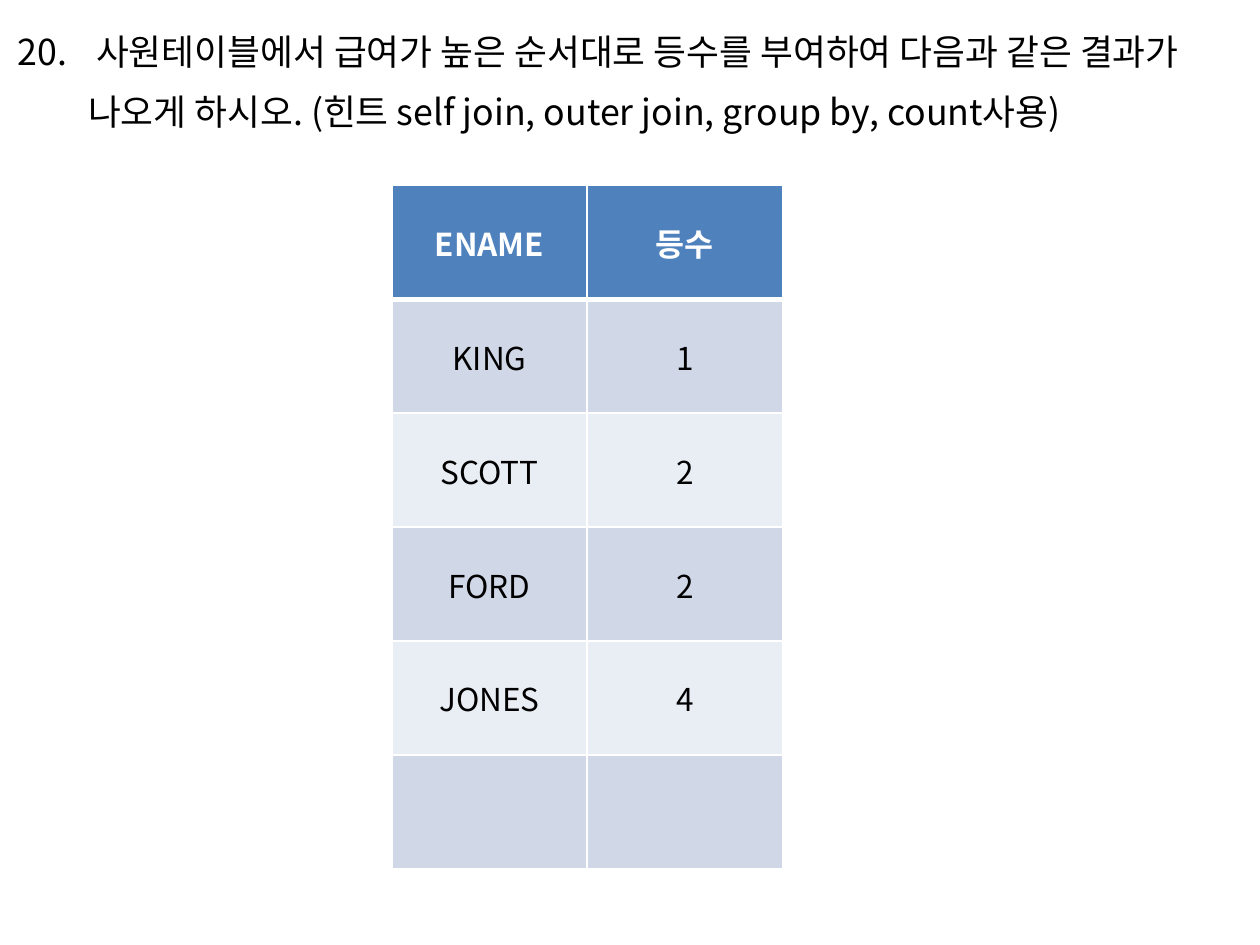
from dataclasses import dataclass

from lxml.etree import SubElement
from pptx import Presentation
from pptx.dml.color import RGBColor
from pptx.enum.text import MSO_ANCHOR, PP_ALIGN
from pptx.oxml.ns import qn
from pptx.util import Inches, Pt


@dataclass(frozen=True)
class Theme:
    font: str = "Noto Sans CJK KR"
    ink: str = "000000"
    paper: str = "FFFFFF"
    header: str = "4F81BD"
    bands: tuple = ("D0D8E8", "E9EDF4")
    question_size: float = 20.4
    table_size: float = 18
    border: float = 1
    header_border: float = 3


class SlideBuilder:
    def __init__(self, slide, theme):
        self.slide = slide
        self.theme = theme

    def add_span(self, para, text, size, color, bold=False):
        span = para.add_run()
        span.text = text
        font = span.font
        font.size = Pt(size)
        font.bold = bold
        font.color.rgb = RGBColor.from_string(color)
        font.name = self.theme.font
        SubElement(span._r.get_or_add_rPr(), qn("a:ea"), typeface=self.theme.font)

    def add_question(self, number, text, left, top, width, height, indent):
        box = self.slide.shapes.add_textbox(
            Inches(left), Inches(top), Inches(width), Inches(height)
        )
        box.text_frame.word_wrap = True
        para = box.text_frame.paragraphs[0]
        para.line_spacing = 1.4
        para.space_before = Pt(4)
        properties = para._p.get_or_add_pPr()
        properties.set("marL", str(Inches(indent)))
        properties.set("indent", str(-Inches(indent)))
        SubElement(properties, qn("a:buFont"), typeface=self.theme.font)
        SubElement(
            properties, qn("a:buAutoNum"), type="arabicPeriod", startAt=str(number)
        )
        self.add_span(para, text, self.theme.question_size, self.theme.ink)

    def add_borders(self, cell, top, bottom):
        thin = self.theme.border
        properties = cell._tc.get_or_add_tcPr()
        for side, weight in (("L", thin), ("R", thin), ("T", top), ("B", bottom)):
            line = SubElement(properties, qn(f"a:ln{side}"), w=str(Pt(weight)))
            fill = SubElement(line, qn("a:solidFill"))
            SubElement(fill, qn("a:srgbClr"), val=self.theme.paper)

    def add_table(self, rows, left, top, column_width, row_height):
        theme = self.theme
        columns = len(rows[0])
        table = self.slide.shapes.add_table(
            len(rows), columns, Inches(left), Inches(top),
            Inches(column_width * columns), Inches(row_height * len(rows)),
        ).table
        for row_index, values in enumerate(rows):
            is_header = row_index == 0
            fill = theme.header if is_header else theme.bands[(row_index - 1) % 2]
            color = theme.paper if is_header else theme.ink
            above = theme.header_border if row_index == 1 else theme.border
            below = theme.header_border if is_header else theme.border
            for column_index, value in enumerate(values):
                cell = table.cell(row_index, column_index)
                self.add_borders(cell, above, below)
                cell.fill.solid()
                cell.fill.fore_color.rgb = RGBColor.from_string(fill)
                cell.vertical_anchor = MSO_ANCHOR.MIDDLE
                para = cell.text_frame.paragraphs[0]
                para.alignment = PP_ALIGN.CENTER
                if value:
                    self.add_span(para, value, theme.table_size, color, is_header)


QUESTION = (
    " 사원테이블에서 급여가 높은 순서대로 등수를 부여하여 다음과 같은 결과가 "
    "나오게 하시오. (힌트 self join, outer join, group by, count사용)"
)
RANKING = [
    ("ENAME", "등수"),
    ("KING", "1"),
    ("SCOTT", "2"),
    ("FORD", "2"),
    ("JONES", "4"),
    ("", ""),
]

deck = Presentation()
deck.slide_width = Inches(10)
deck.slide_height = Inches(7.5)
page = SlideBuilder(deck.slides.add_slide(deck.slide_layouts[6]), Theme())
page.add_question(20, QUESTION, 0.04, 0.05, 9.92, 1.34, indent=0.56)
page.add_table(RANKING, 3.11, 1.47, column_width=1.55, row_height=0.905)
deck.save("out.pptx")
